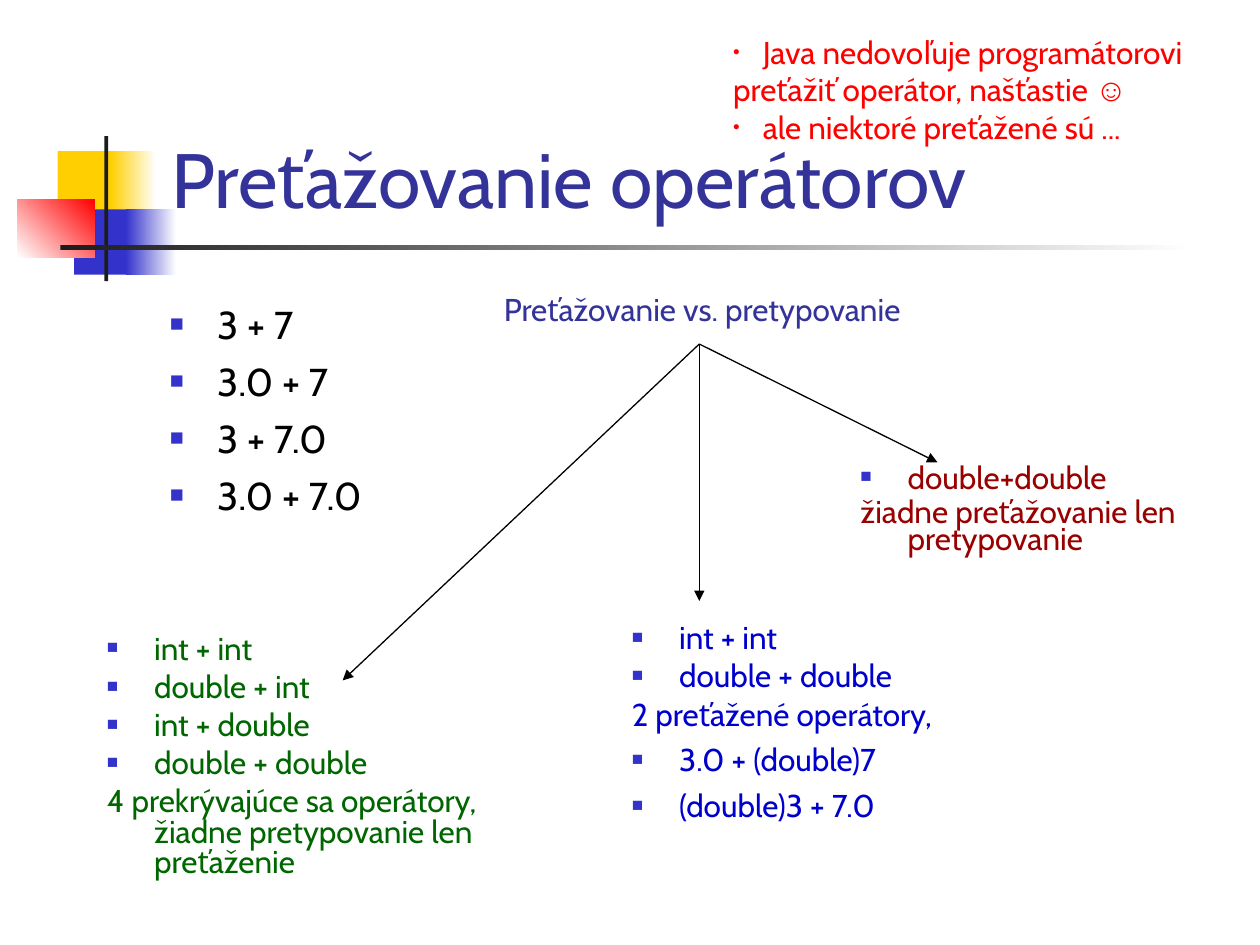
from lxml import etree
from pptx import Presentation
from pptx.dml.color import RGBColor
from pptx.enum.shapes import MSO_CONNECTOR, MSO_SHAPE
from pptx.enum.text import MSO_ANCHOR, PP_ALIGN
from pptx.oxml.ns import qn
from pptx.util import Pt

RECT, LINE = MSO_SHAPE.RECTANGLE, MSO_CONNECTOR.STRAIGHT
TOP, MIDDLE, BOTTOM = MSO_ANCHOR.TOP, MSO_ANCHOR.MIDDLE, MSO_ANCHOR.BOTTOM
LEFT = PP_ALIGN.LEFT
FONT = "Cabin"
HANG = 27
COLORS = {
    "white": "FFFFFF", "black": "000000", "ink": "1C1C1C", "gold": "FFCF01",
    "blue": "3333CC", "red": "FF0000", "title": "333399", "green": "006600",
    "navy": "0000CC", "wine": "990000",
}


def rgb(name):
    return RGBColor.from_string(COLORS[name])


def add_bullet(para, char, color, hang):
    """Give a paragraph a small coloured bullet."""
    props = para._p.get_or_add_pPr()
    tint = etree.SubElement(props, qn("a:buClr"))
    etree.SubElement(tint, qn("a:srgbClr"), val=COLORS[color])
    etree.SubElement(props, qn("a:buSzPct"), val="60000")
    etree.SubElement(props, qn("a:buFont"), typeface="Arial")
    etree.SubElement(props, qn("a:buChar"), char=char)
    set_indent(para, hang)


def set_indent(para, hang):
    props = para._p.get_or_add_pPr()
    props.set("marL", str(Pt(hang)))
    props.set("indent", str(-Pt(hang)))


def add_run(para, text, size, color, font=FONT):
    run = para.add_run()
    run.text = text
    style = {"name": font, "size": Pt(size), "bold": False}
    for key, value in style.items():
        setattr(run.font, key, value)
    run.font.color.rgb = rgb(color)


def set_frame(frame, anchor):
    style = {
        "word_wrap": True, "vertical_anchor": anchor,
        "margin_left": Pt(7.2), "margin_right": Pt(7.2),
        "margin_top": Pt(3.6), "margin_bottom": Pt(3.6),
    }
    for key, value in style.items():
        setattr(frame, key, value)


def add_box(slide, box, anchor=TOP):
    frame = slide.shapes.add_textbox(*map(Pt, box)).text_frame
    set_frame(frame, anchor)
    return frame


def next_para(frame, index):
    return frame.add_paragraph() if index else frame.paragraphs[0]


def add_title(slide, box, text):
    title = slide.shapes.title
    title.left, title.top, title.width, title.height = map(Pt, box)
    set_frame(title.text_frame, BOTTOM)
    para = title.text_frame.paragraphs[0]
    para.alignment = LEFT
    add_run(para, text, 44, "title")


def add_list(slide, box, items, color, size=18, gap=4.5):
    """Items are (text, has bullet, line spacing)."""
    frame = add_box(slide, box)
    for i, (text, marked, space) in enumerate(items):
        para = next_para(frame, i)
        if marked:
            add_bullet(para, "■", "blue", HANG)
        else:
            set_indent(para, HANG)
        para.line_spacing = space
        para.space_before = Pt(gap if i else 0)
        add_run(para, text, size, color)


def add_note(slide, box):
    """Red remark above the title."""
    frame = add_box(slide, box, MIDDLE)
    lines = [
        ("Java nedovoľuje programátorovi", True),
        ("preťažiť operátor, našťastie ", False),
        ("ale niektoré preťažené sú ...", True),
    ]
    for i, (text, marked) in enumerate(lines):
        para = next_para(frame, i)
        if marked:
            add_bullet(para, "•", "red", 17)
        add_run(para, text, 18, "red")
    add_run(frame.paragraphs[1], "☺", 18, "red", "Arial")


def add_decor(slide, box):
    """Coloured blocks and the two bars beside the title."""
    left, top = box
    parts = [
        (23, 8.6, 34.6, 37.4, "gold", None, 0),
        (53.3, 8.6, 25.9, 37.4, "gold", "white", 0),
        (32.4, 41.8, 33.1, 37.4, "blue", None, 0),
        (61.9, 41.8, 28.8, 37.4, "blue", "white", 0),
        (0, 36, 43.9, 33.1, "white", "red", 45),
        (49.7, 0, 2.2, 82.8, "ink", None, 0),
        (24.5, 62.3, 648, 2.9, "ink", "white", 0),
    ]
    for x, y, width, height, start, end, angle in parts:
        shape = slide.shapes.add_shape(
            RECT, Pt(left + x), Pt(top + y), Pt(width), Pt(height))
        shape.shadow.inherit = False
        shape.line.fill.background()
        fill = shape.fill
        if end is None:
            fill.solid()
            fill.fore_color.rgb = rgb(start)
            continue
        fill.gradient()
        fill.gradient_angle = angle
        for stop, color in zip(fill.gradient_stops, (start, end)):
            stop.color.rgb = rgb(color)


def add_fan(slide, start, ends):
    """Arrows from one point to each end."""
    for end in ends:
        arrow = slide.shapes.add_connector(LINE, *map(Pt, start + end))
        arrow.line.color.rgb = rgb("black")
        arrow.line.width = Pt(0.75)
        etree.SubElement(arrow.line._get_or_add_ln(), qn("a:tailEnd"),
                         type="triangle")
        etree.SubElement(arrow._element.spPr, qn("a:effectLst"))


def main():
    deck = Presentation()
    deck.slide_width, deck.slide_height = Pt(720), Pt(540)
    slide = deck.slides.add_slide(deck.slide_layouts[5])

    # Title and decoration
    add_decor(slide, (10, 77.8))
    add_title(slide, (90.7, 16.6, 613.4, 115.2), "Preťažovanie operátorov")

    # Overloads only
    names = ["int + int", "double + int", "int + double", "double + double"]
    last = "4 prekrývajúce sa operátory, žiadne pretypovanie len preťaženie"
    add_list(slide, (54, 360, 270, 160),
             [(name, True, 0.8) for name in names] + [(last, False, 0.8)],
             "green")

    # Sample sums
    sums = ["3 + 7", "3.0 + 7", "3 + 7.0", "3.0 + 7.0"]
    add_list(slide, (90, 168, 150, 138), [(text, True, 1.0) for text in sums],
             "black", 22.2, 6)

    # Overloads with casts
    add_list(slide, (354, 354, 246, 138), [
        ("int + int", True, 0.8),
        ("double + double", True, 0.8),
        ("2 preťažené operátory,", False, 0.8),
        ("3.0 + (double)7", True, 1.0),
        ("(double)3 + 7.0", True, 1.0),
    ], "navy")

    # Casts only
    add_list(slide, (484.6, 264, 222, 62.6), [
        ("double+double", True, 0.7),
        ("žiadne preťažovanie len pretypovanie", False, 0.7),
    ], "wine")

    # Heading with arrows to the three cases
    head = add_box(slide, (280.8, 162, 266.4, 50.4))
    add_run(head.paragraphs[0], "Preťažovanie vs. pretypovanie", 18, "title")
    add_fan(slide, (399.6, 196.6),
            [(195.8, 388.8), (399.6, 343.4), (535.7, 264.2)])

    add_note(slide, (411.8, 15.1, 294.5, 72))
    deck.save("out.pptx")


if __name__ == "__main__":
    main()
